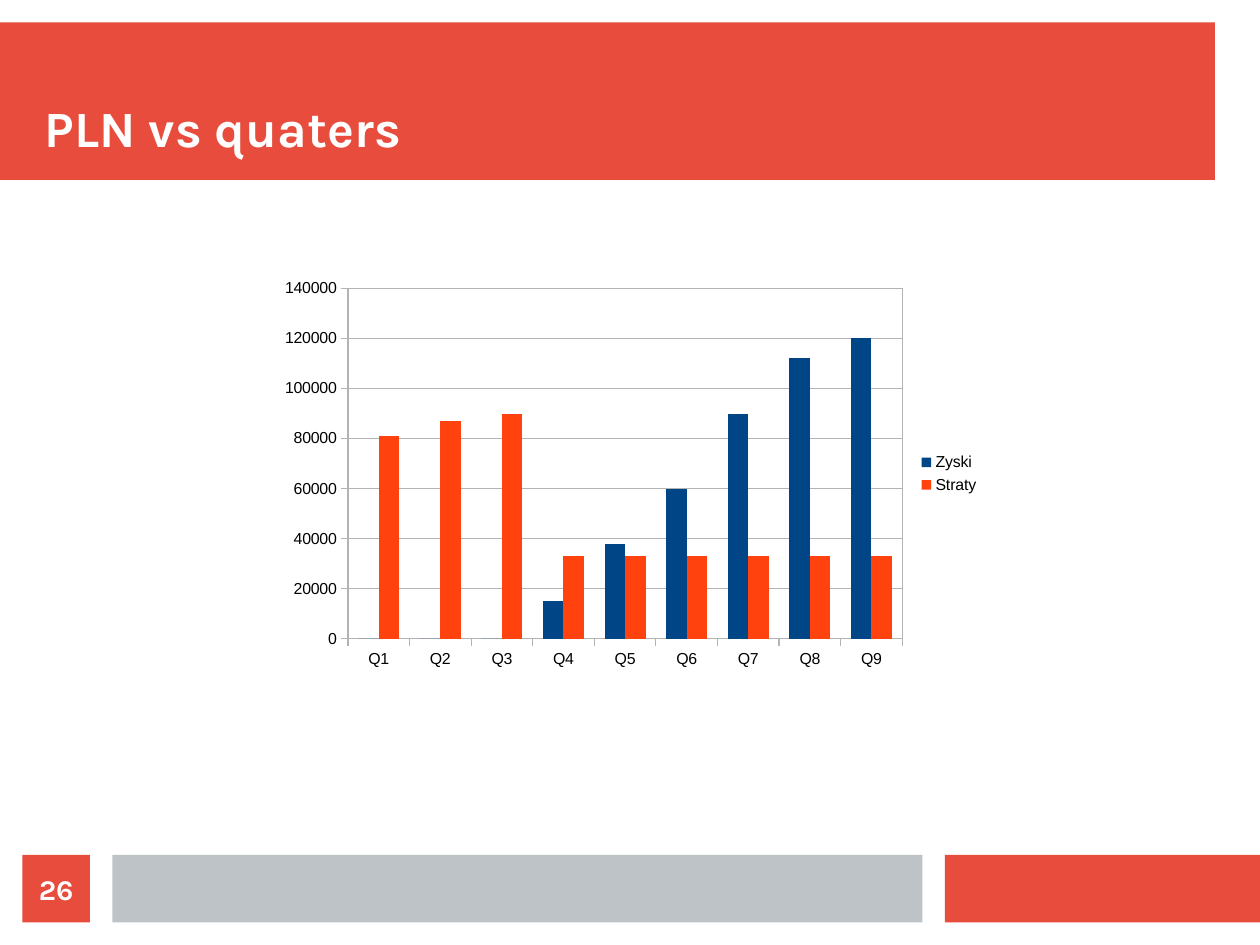
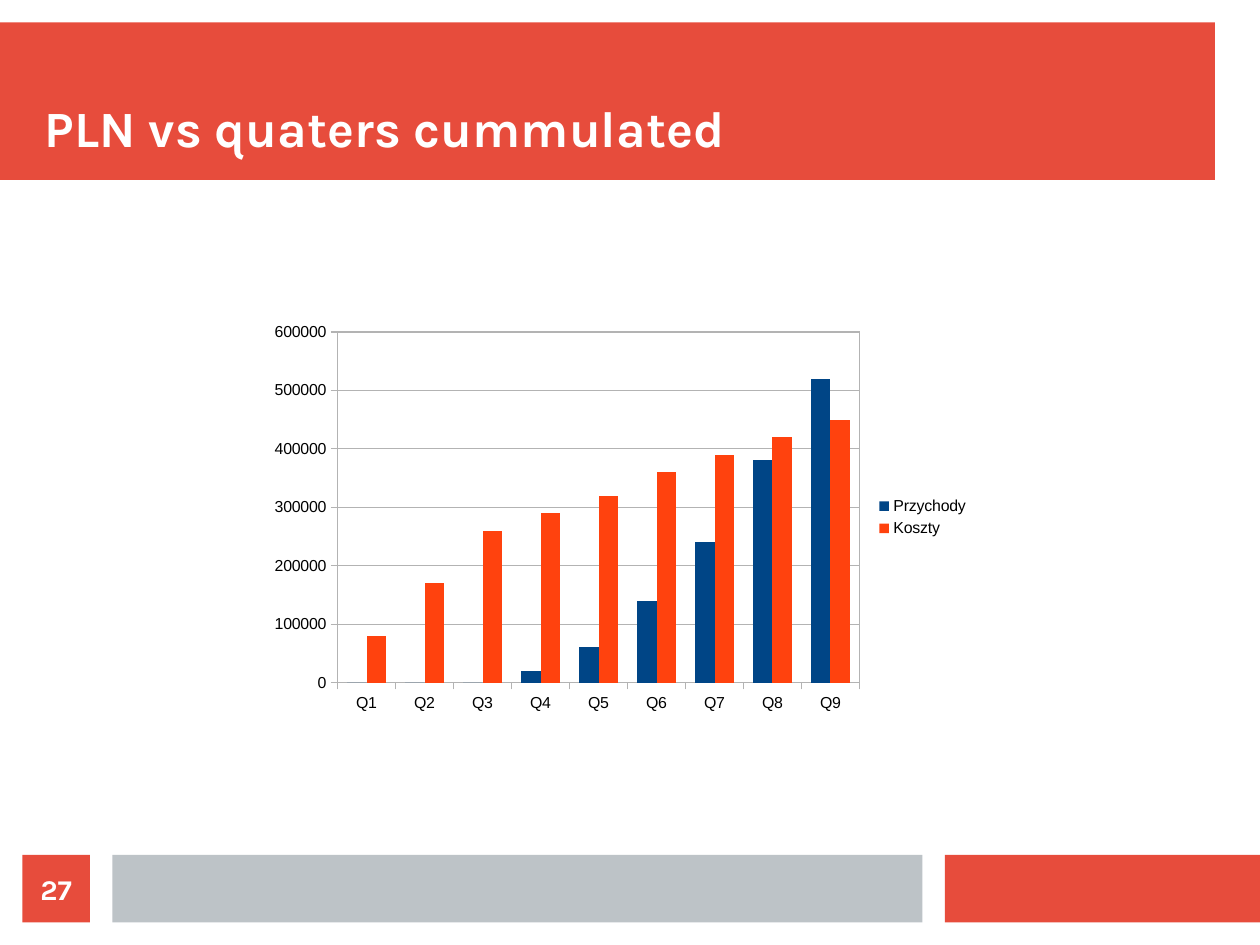
from dataclasses import dataclass

from pptx import Presentation
from pptx import util as u
from pptx.chart.data import CategoryChartData
from pptx.dml.color import RGBColor
from pptx.enum import chart as charts, shapes, text
from pptx.oxml import parse_xml
from pptx.oxml.ns import nsdecls, qn


@dataclass(frozen=True)
class Theme:
    red: str = "E74C3C"
    gray: str = "BDC3C7"
    white: str = "FFFFFF"
    black: str = "000000"
    rule: str = "B3B3B3"
    series: tuple = ("004586", "FF420E")
    heading_font: str = "Karla"
    chart_font: str = "Arial"
    title_size: int = 32
    number_size: int = 18
    chart_size: int = 10


THEME = Theme()
CM_PER_INCH = 2.54
SLIDE_SIZE = (28, 21)
FOOTER_TOP, FOOTER_HEIGHT = 19, 1.5
BANDS = [
    ((0, 0.5, 27, 3.5), THEME.red),
    ((21, FOOTER_TOP, 7, FOOTER_HEIGHT), THEME.red),
    ((2.5, FOOTER_TOP, 18, FOOTER_HEIGHT), THEME.gray),
]
TITLE_AREA = (1, 1, 26, 2.5)
NUMBER_AREA = (0.5, FOOTER_TOP, FOOTER_HEIGHT, FOOTER_HEIGHT)
CHART_SIZE = (16, 9.01)
PLOT_PERCENT = {"x": 10.7, "y": 4.3, "h": 86.5}
QUARTERS = [f"Q{number}" for number in range(1, 10)]
FIRST_NUMBER = 26

SLIDES = [
    {
        "title": "PLN vs quaters",
        "place": (6.02, 6.02),
        "plot_width": 77,
        "scale": (140000, 20000),
        "series": {
            "Zyski": (0, 0, 0, 15000, 38000, 60000, 90000, 112000, 120000),
            "Straty": (81000, 87000, 90000) + (33000,) * 6,
        },
    },
    {
        "title": "PLN vs quaters cummulated",
        "place": (5.79, 6.99),
        "plot_width": 72.5,
        "scale": (600000, 100000),
        "series": {
            "Przychody": (0, 0, 0, 20000, 60000, 140000, 240000, 380000, 520000),
            "Koszty": (80000, 170000, 260000, 290000, 320000, 360000, 390000, 420000, 450000),
        },
    },
]


def lengths(values):
    return [u.Inches(value / CM_PER_INCH) for value in values]


def apply(target, formats):
    for name, value in formats.items():
        setattr(target, name, value)


def style_font(font, name, size, color, bold=False):
    apply(font, {"name": name, "size": u.Pt(size), "bold": bold})
    font.color.rgb = RGBColor.from_string(color)


def add_band(page, area, color):
    band = page.shapes.add_shape(shapes.MSO_SHAPE.RECTANGLE, *lengths(area))
    band.shadow.inherit = False
    band.fill.solid()
    band.fill.fore_color.rgb = RGBColor.from_string(color)
    band.line.fill.background()
    return band


def write(box, words, size, anchor, alignment):
    frame = box.text_frame
    apply(frame, {"word_wrap": True, "vertical_anchor": anchor, "margin_left": 0,
                  "margin_right": 0, "margin_top": 0, "margin_bottom": 0})
    para = frame.paragraphs[0]
    para.alignment = alignment
    span = para.add_run()
    span.text = words
    style_font(span.font, THEME.heading_font, size, THEME.white, True)


def style_line(line):
    line.color.rgb = RGBColor.from_string(THEME.rule)
    line.width = u.Pt(0)


def frame_plot(chart, width):
    area = chart._chartSpace.chart.plotArea
    for layout in area.findall(qn("c:layout")):
        area.remove(layout)
    bounds = {**PLOT_PERCENT, "w": width}
    modes = "".join(f'<c:{side}Mode val="edge"/>' for side in "xy")
    sizes = "".join(f'<c:{side} val="{bounds[side] / 100:.3f}"/>' for side in "xywh")
    area.insert(0, parse_xml(
        f'<c:layout {nsdecls("c")}><c:manualLayout><c:layoutTarget val="inner"/>'
        f'{modes}{sizes}</c:manualLayout></c:layout>'))
    area.append(parse_xml(
        f'<c:spPr {nsdecls("c", "a")}><a:noFill/><a:ln w="0"><a:solidFill>'
        f'<a:srgbClr val="{THEME.rule}"/></a:solidFill></a:ln></c:spPr>'))


def add_column_chart(page, content):
    data = CategoryChartData()
    data.categories = QUARTERS
    for name, values in content["series"].items():
        data.add_series(name, values)
    chart = page.shapes.add_chart(
        charts.XL_CHART_TYPE.COLUMN_CLUSTERED,
        *lengths(content["place"] + CHART_SIZE), data).chart
    apply(chart, {"has_title": False, "has_legend": True})
    apply(chart.legend, {"position": charts.XL_LEGEND_POSITION.RIGHT,
                         "include_in_layout": False})
    plot = chart.plots[0]
    apply(plot, {"gap_width": 100, "overlap": 0, "vary_by_categories": False})
    for series, color in zip(plot.series, THEME.series):
        series.format.fill.solid()
        series.format.fill.fore_color.rgb = RGBColor.from_string(color)
        series.invert_if_negative = False
    for axis in (chart.category_axis, chart.value_axis):
        axis.major_tick_mark = charts.XL_TICK_MARK.OUTSIDE
        style_line(axis.format.line)
    maximum, step = content["scale"]
    apply(chart.value_axis, {"minimum_scale": 0, "maximum_scale": maximum,
                             "major_unit": step, "has_major_gridlines": True})
    style_line(chart.value_axis.major_gridlines.format.line)
    for part in (chart, chart.legend, chart.category_axis.tick_labels,
                 chart.value_axis.tick_labels):
        style_font(part.font, THEME.chart_font, THEME.chart_size, THEME.black)
    frame_plot(chart, content["plot_width"])


def add_page(deck, number, content):
    page = deck.slides.add_slide(deck.slide_layouts[6])
    for area, color in BANDS:
        add_band(page, area, color)
    title = page.shapes.add_textbox(*lengths(TITLE_AREA))
    write(title, content["title"], THEME.title_size,
          text.MSO_ANCHOR.BOTTOM, text.PP_ALIGN.LEFT)
    add_column_chart(page, content)
    write(add_band(page, NUMBER_AREA, THEME.red), str(number), THEME.number_size,
          text.MSO_ANCHOR.MIDDLE, text.PP_ALIGN.CENTER)


def main():
    deck = Presentation()
    deck.slide_width, deck.slide_height = lengths(SLIDE_SIZE)
    for number, content in enumerate(SLIDES, FIRST_NUMBER):
        add_page(deck, number, content)
    deck.save("out.pptx")


if __name__ == "__main__":
    main()
